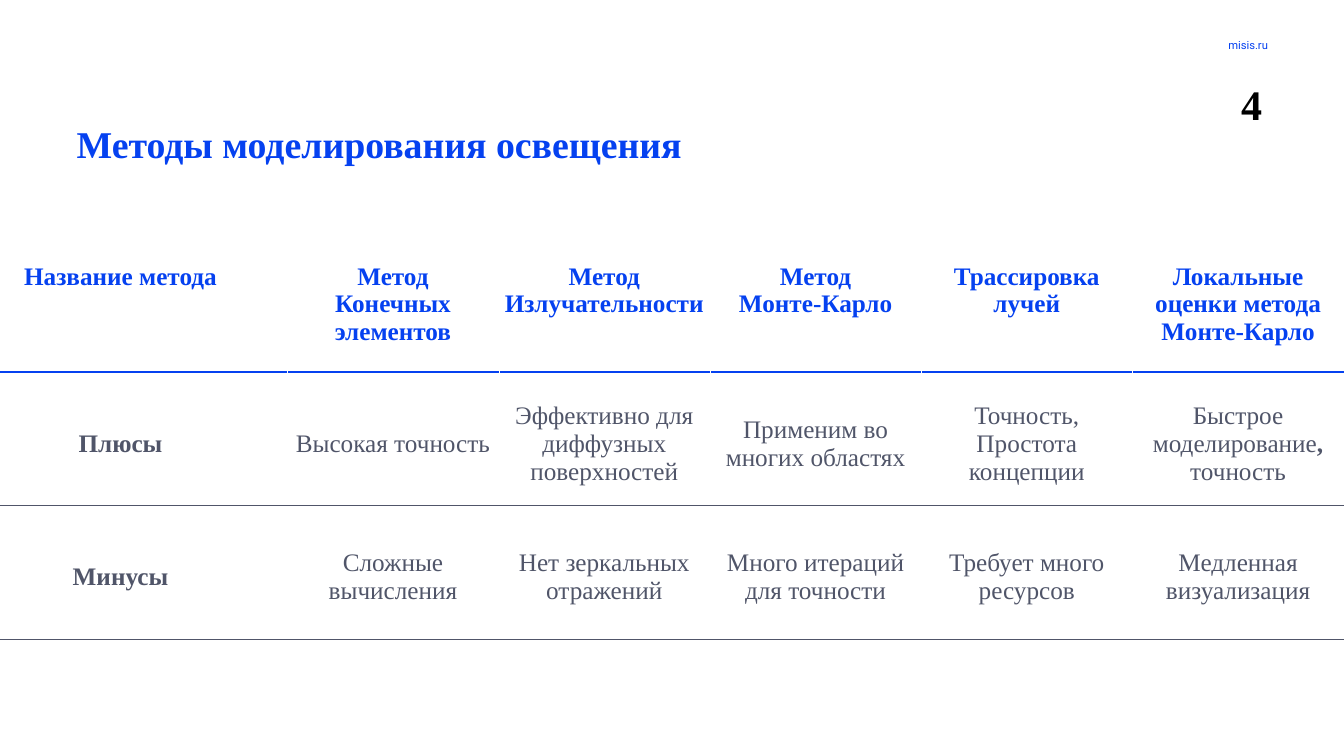
import dataclasses
import typing

import lxml.etree
import pptx
import pptx.dml.color
import pptx.enum.text
import pptx.oxml.ns
import pptx.util

SLIDE_WIDTH = pptx.util.Inches(26.66)
SLIDE_HEIGHT = pptx.util.Inches(15)
BLUE, GREY, BLACK, WHITE = "0541F0", "505569", "000000", "FFFFFF"
SERIF, SANS = "Times New Roman", "Roboto"
ALIGN = pptx.enum.text.PP_ALIGN
ANCHOR = pptx.enum.text.MSO_ANCHOR
BOLD_MARK = "*"


class Area(typing.NamedTuple):
    left: float
    top: float
    width: float
    height: float


@dataclasses.dataclass(frozen=True)
class TextStyle:
    size: float
    color: str
    name: str = SERIF
    bold: bool = False
    alignment: ALIGN = ALIGN.LEFT
    line_spacing: typing.Optional[float] = None


@dataclasses.dataclass(frozen=True)
class Label:
    text: str
    area: Area
    style: TextStyle
    anchor: ANCHOR = ANCHOR.TOP
    wrap: bool = True


@dataclasses.dataclass(frozen=True)
class MethodRow:
    height: float
    texts: tuple[str, ...]
    heading_style: TextStyle
    style: TextStyle
    anchor: ANCHOR
    top_margin: float
    rule: tuple[str, float]


LABELS = (
    Label("misis.ru", Area(81.28, 4.8, 13.43, 2.47),
          TextStyle(16, BLUE, SANS, alignment=ALIGN.RIGHT)),
    Label("Методы моделирования освещения", Area(5.33, 15.4, 73.11, 8.07),
          TextStyle(54, BLUE, bold=True, line_spacing=67)),
    Label("4", Area(91.97, 9.93, 2.33, 7.4), TextStyle(60, BLACK, bold=True),
          ANCHOR.BOTTOM, wrap=False),
)

HEADER = TextStyle(36, BLUE, bold=True, alignment=ALIGN.CENTER)
BODY = dataclasses.replace(HEADER, color=GREY, bold=False)
ROW_HEADING = dataclasses.replace(BODY, bold=True)

TABLE_LEFT, TABLE_TOP = -3.15, 34.07
COLUMN_WIDTHS = (24.53,) + (15.72,) * 5
HEADER_HEIGHT, BODY_HEIGHT = 15.13, 17.67
BODY_FORMAT = (ROW_HEADING, BODY, ANCHOR.MIDDLE, 0.24, (GREY, 1))
ROWS = (
    MethodRow(HEADER_HEIGHT, (
        "Название метода", "Метод\nКонечных элементов", "Метод\nИзлучательности",
        "Метод\nМонте-Карло", "Трассировка\nлучей",
        "Локальные оценки метода Монте-Карло",
    ), HEADER, HEADER, ANCHOR.TOP, 0.1, (BLUE, 2.25)),
    MethodRow(BODY_HEIGHT, (
        "Плюсы", "Высокая точность", "Эффективно для диффузных поверхностей",
        "Применим во многих областях", "Точность,\nПростота концепции",
        "Быстрое моделирование*,*\nточность",
    ), *BODY_FORMAT),
    MethodRow(BODY_HEIGHT, (
        "Минусы", "Сложные вычисления", "Нет зеркальных отражений",
        "Много итераций для точности", "Требует много ресурсов",
        "Медленная визуализация",
    ), *BODY_FORMAT),
)


def across(percent: float) -> int:
    return round(SLIDE_WIDTH * percent / 100)


def down(percent: float) -> int:
    return round(SLIDE_HEIGHT * percent / 100)


def rgb(color: str) -> pptx.dml.color.RGBColor:
    return pptx.dml.color.RGBColor.from_string(color)


def apply(target: typing.Any, values: dict[str, typing.Any]) -> None:
    for name, value in values.items():
        setattr(target, name, value)


def write_text(text_frame: typing.Any, text: str, style: TextStyle) -> None:
    for index, line in enumerate(text.split("\n")):
        paragraph = text_frame.add_paragraph() if index else text_frame.paragraphs[0]
        paragraph.alignment = style.alignment
        if style.line_spacing:
            paragraph.line_spacing = pptx.util.Pt(style.line_spacing)
        for position, part in enumerate(line.split(BOLD_MARK)):
            if part:
                run = paragraph.add_run()
                run.text = part
                apply(run.font, {
                    "size": pptx.util.Pt(style.size),
                    "name": style.name,
                    "bold": style.bold or position % 2 == 1,
                })
                run.font.color.rgb = rgb(style.color)


def draw_label(slide: typing.Any, label: Label) -> None:
    area = label.area
    shape = slide.shapes.add_textbox(
        across(area.left), down(area.top), across(area.width), down(area.height))
    apply(shape.text_frame, {"word_wrap": label.wrap, "vertical_anchor": label.anchor})
    write_text(shape.text_frame, label.text, label.style)


def draw_border(cell: typing.Any, side: str, color: str, width: float) -> None:
    properties = cell._tc.get_or_add_tcPr()
    line = lxml.etree.SubElement(
        properties, pptx.oxml.ns.qn(f"a:ln{side}"), w=str(pptx.util.Pt(width)))
    fill = lxml.etree.SubElement(line, pptx.oxml.ns.qn("a:solidFill"))
    lxml.etree.SubElement(fill, pptx.oxml.ns.qn("a:srgbClr"), val=color)


def draw_cell(cell: typing.Any, row_index: int, column_index: int) -> None:
    row = ROWS[row_index]
    apply(cell, {
        "margin_left": pptx.util.Inches(0.08 if column_index else 0),
        "margin_top": pptx.util.Inches(row.top_margin),
        "margin_right": pptx.util.Inches(0.08),
        "margin_bottom": pptx.util.Inches(0.04),
        "vertical_anchor": row.anchor,
    })
    if row_index:
        if column_index:
            draw_border(cell, "L", WHITE, 0.25)
        draw_border(cell, "R", WHITE, 0.25)
        draw_border(cell, "T", *ROWS[row_index - 1].rule)
    draw_border(cell, "B", *row.rule)
    cell.fill.background()
    style = row.style if column_index else row.heading_style
    write_text(cell.text_frame, row.texts[column_index], style)


def draw_methods_table(slide: typing.Any) -> None:
    shape = slide.shapes.add_table(
        len(ROWS), len(COLUMN_WIDTHS), across(TABLE_LEFT), down(TABLE_TOP),
        across(sum(COLUMN_WIDTHS)), down(sum(row.height for row in ROWS)))
    table = shape.table
    apply(table, {"first_row": False, "horz_banding": False})
    for column, width in zip(table.columns, COLUMN_WIDTHS):
        column.width = across(width)
    for row_index, row in enumerate(ROWS):
        table.rows[row_index].height = down(row.height)
        for column_index in range(len(COLUMN_WIDTHS)):
            draw_cell(table.cell(row_index, column_index), row_index, column_index)


def main() -> None:
    presentation = pptx.Presentation()
    apply(presentation, {"slide_width": SLIDE_WIDTH, "slide_height": SLIDE_HEIGHT})
    slide = presentation.slides.add_slide(presentation.slide_layouts[6])
    for label in LABELS:
        draw_label(slide, label)
    draw_methods_table(slide)
    presentation.save("out.pptx")


if __name__ == "__main__":
    main()
